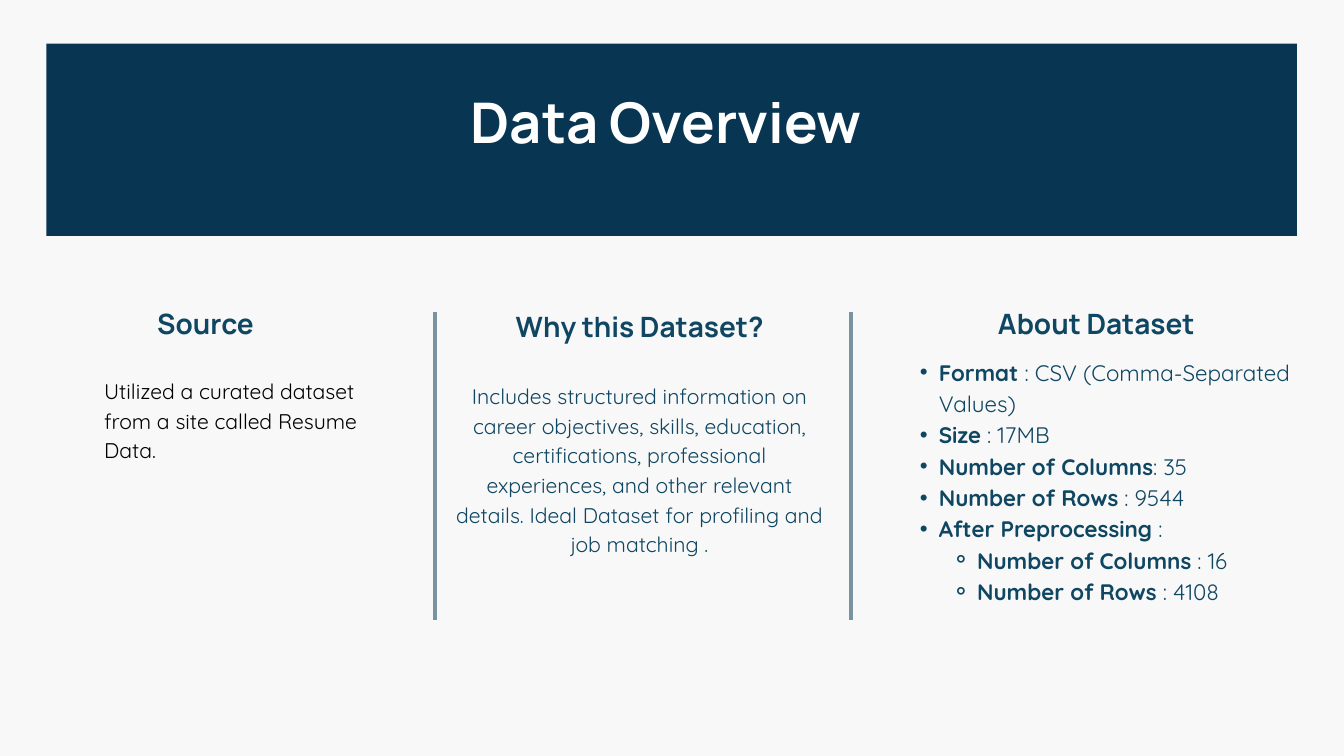
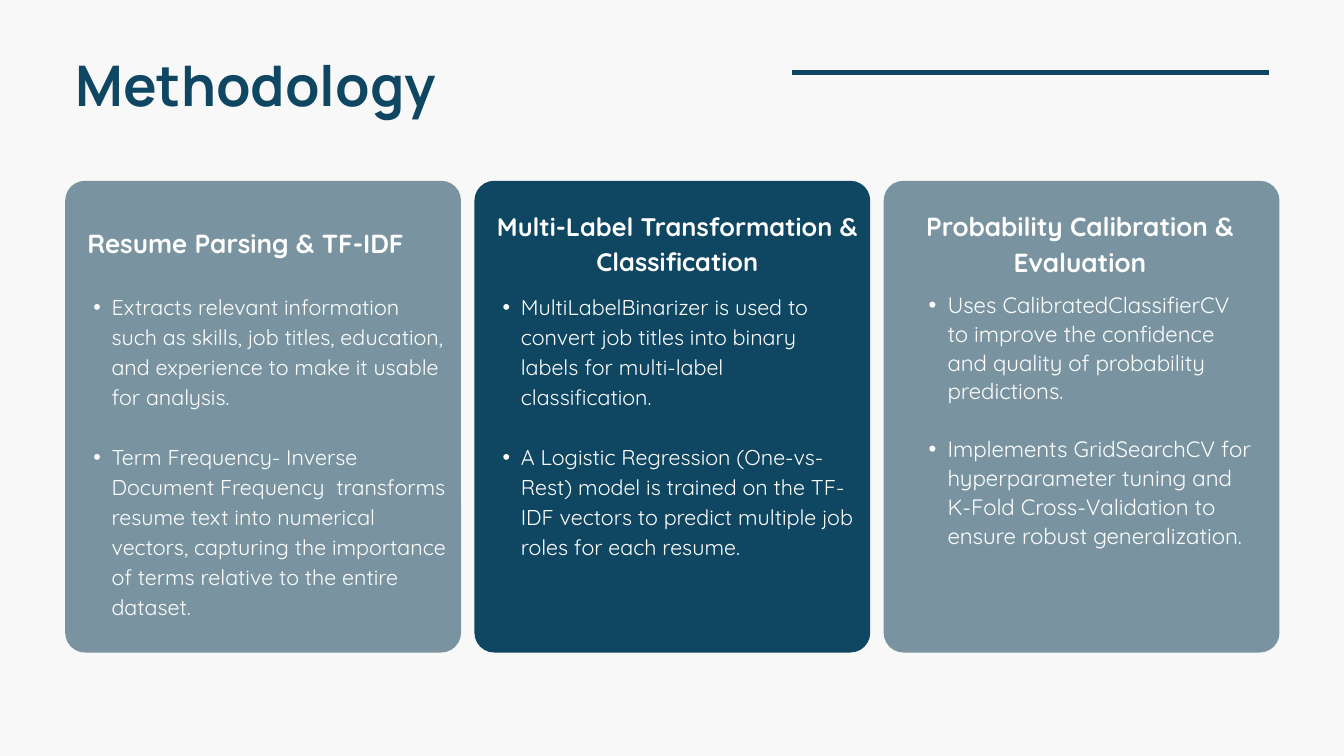
from lxml import etree
from pptx import Presentation
from pptx.dml.color import RGBColor
from pptx.enum.shapes import MSO_CONNECTOR, MSO_SHAPE
from pptx.enum.text import MSO_AUTO_SIZE, PP_ALIGN
from pptx.oxml.ns import qn
from pptx.util import Pt

PX = 9144
LEFT, CENTER = PP_ALIGN.LEFT, PP_ALIGN.CENTER
RECTANGLE, ROUNDED = MSO_SHAPE.RECTANGLE, MSO_SHAPE.ROUNDED_RECTANGLE
STRAIGHT = MSO_CONNECTOR.STRAIGHT
FIT_TEXT = MSO_AUTO_SIZE.SHAPE_TO_FIT_TEXT

PAPER, NAVY, BLUE, STEEL = "F8F8F8", "073552", "0F4662", "7994A0"
WHITE, BLACK = "FFFFFF", "000000"
HEADING_FONT, BODY_FONT = "Manrope", "Quicksand"
BULLETS = {1: "•", 2: "⚬"}

TITLE = {"name": HEADING_FONT, "size": Pt(60), "bold": True}
HEADING = {"name": HEADING_FONT, "size": Pt(30), "bold": True}
CARD_TITLE = {"name": BODY_FONT, "size": Pt(28), "bold": True}
WIDE_CARD_TITLE = {**CARD_TITLE, "size": Pt(27.2)}
BODY = {"name": BODY_FONT, "size": Pt(22.7)}
FACTS = {"name": BODY_FONT, "size": Pt(24)}
CARD_BODY = {"name": BODY_FONT, "size": Pt(23)}
LAST_CARD_BODY = {**CARD_BODY, "size": Pt(23.8)}


def color(hex_value):
    return RGBColor.from_string(hex_value)


def add_text(slide, box, text, font, ink, spacing, align=LEFT, indent=0, gap=0):
    shape = slide.shapes.add_textbox(*[value * PX for value in box])
    frame = shape.text_frame
    settings = {"word_wrap": True, "auto_size": FIT_TEXT, "margin_left": 0,
                "margin_top": 0, "margin_right": 0, "margin_bottom": 0}
    for name, value in settings.items():
        setattr(frame, name, value)
    items = [(0, "", text)] if isinstance(text, str) else text
    for index, (level, label, detail) in enumerate(items):
        paragraph = frame.add_paragraph() if index else frame.paragraphs[0]
        layout = {"alignment": align, "level": level, "line_spacing": Pt(spacing),
                  "space_before": Pt(gap if index else 0)}
        for name, value in layout.items():
            setattr(paragraph, name, value)
        if level:
            properties = paragraph._p.get_or_add_pPr()
            left = indent * level
            properties.set("marL", str(left * PX))
            properties.set("indent", str(-(left // (level + 1)) * PX))
            etree.SubElement(properties, qn("a:buFont")).set("typeface", "Arial")
            etree.SubElement(properties, qn("a:buChar")).set("char", BULLETS[level])
        for content, emphasis in ((label, {"bold": True}), (detail, {})):
            if content:
                run = paragraph.add_run()
                run.text = content
                for name, value in {**font, **emphasis}.items():
                    setattr(run.font, name, value)
                run.font.color.rgb = color(ink)


presentation = Presentation()
presentation.slide_width = 2000 * PX
presentation.slide_height = 1125 * PX
overview, methodology = [
    presentation.slides.add_slide(presentation.slide_layouts[6]) for _ in range(2)]
for slide in (overview, methodology):
    slide.background.fill.solid()
    slide.background.fill.fore_color.rgb = color(PAPER)

panels = [(overview, RECTANGLE, (69, 65, 1861, 286), NAVY)]
for column, fill in enumerate((STEEL, BLUE, STEEL)):
    panels.append((methodology, ROUNDED, (97 + column * 609, 269, 589, 702), fill))
for slide, kind, box, fill in panels:
    shape = slide.shapes.add_shape(kind, *[value * PX for value in box])
    shape.shadow.inherit = False
    shape.fill.solid()
    shape.fill.fore_color.rgb = color(fill)
    shape.line.fill.background()
    if kind == ROUNDED:
        shape.adjustments[0] = 0.05

rules = [
    (overview, (647, 922, 647, 464), STEEL, 4.5),
    (overview, (1266, 922, 1266, 464), STEEL, 4.5),
    (methodology, (1178, 108, 1888, 108), BLUE, 6),
]
for slide, ends, ink, weight in rules:
    connector = slide.shapes.add_connector(STRAIGHT, *[value * PX for value in ends])
    connector.line.color.rgb = color(ink)
    connector.line.width = Pt(weight)
    etree.SubElement(connector._element.spPr, qn("a:effectLst"))

add_text(overview, (222, 114, 1539, 120), "Data Overview", TITLE, WHITE, 84, CENTER)
add_text(methodology, (112, 58, 888, 120), "Methodology", TITLE, BLUE, 84)

headings = [
    ("Source", (234, 448, 170, 57), LEFT),
    ("Why this Dataset?", (718, 453, 468, 57), CENTER),
    ("About Dataset", (1403, 448, 457, 57), CENTER),
]
for text, box, align in headings:
    add_text(overview, box, text, HEADING, BLUE, 42, align)

add_text(overview, (155, 557, 418, 130),
         "Utilized a curated dataset from a site called Resume Data.",
         BODY, BLACK, 31.7)
add_text(overview, (678, 564, 547, 261),
         "Includes structured information on career objectives, skills, education, "
         "certifications, professional experiences, and other relevant details. "
         "Ideal Dataset for profiling and job matching .",
         BODY, BLUE, 31.8, CENTER)
facts = [
    (1, "Format ", ": CSV (Comma-Separated Values)"),
    (1, "Size", " : 17MB"),
    (1, "Number of Columns", ": 35"),
    (1, "Number of Rows", " : 9544"),
    (1, "After Preprocessing", " :"),
    (2, "Number of Columns", " : 16"),
    (2, "Number of Rows ", ": 4108"),
]
add_text(overview, (1340, 527, 585, 366), facts, FACTS, BLUE, 33.6, indent=57)

card_titles = [
    ("Resume Parsing & TF-IDF", (130, 330, 523, 54), CARD_TITLE, 39.2, LEFT),
    ("Multi-Label Transformation & Classification", (737, 306, 542, 104),
     WIDE_CARD_TITLE, 38.1, CENTER),
    ("Probability Calibration & Evaluation", (1328, 305, 558, 108),
     CARD_TITLE, 39.2, CENTER),
]
for text, box, font, spacing, align in card_titles:
    add_text(methodology, box, text, font, WHITE, spacing, align)

card_bodies = [
    ((112, 431, 558, 480), CARD_BODY, 32.2, 54, (
        "Extracts relevant information such as skills, job titles, education, "
        "and experience to make it usable for analysis.",
        "Term Frequency- Inverse Document Frequency  transforms resume text into "
        "numerical vectors, capturing the importance of terms relative to the "
        "entire dataset.")),
    ((721, 431, 558, 436), CARD_BODY, 32.2, 54, (
        "MultiLabelBinarizer is used to convert job titles into binary labels "
        "for multi-label classification.",
        "A Logistic Regression (One-vs-Rest) model is trained on the TF-IDF "
        "vectors to predict multiple job roles for each resume.")),
    ((1354, 430, 509, 423), LAST_CARD_BODY, 30.9, 56, (
        "Uses CalibratedClassifierCV to improve the confidence and quality of "
        "probability predictions.",
        "Implements GridSearchCV for hyperparameter tuning and K-Fold "
        "Cross-Validation to ensure robust generalization.")),
]
for box, font, spacing, indent, points in card_bodies:
    add_text(methodology, box, [(1, "", point) for point in points],
             font, WHITE, spacing, indent=indent, gap=spacing)

presentation.save("out.pptx")
